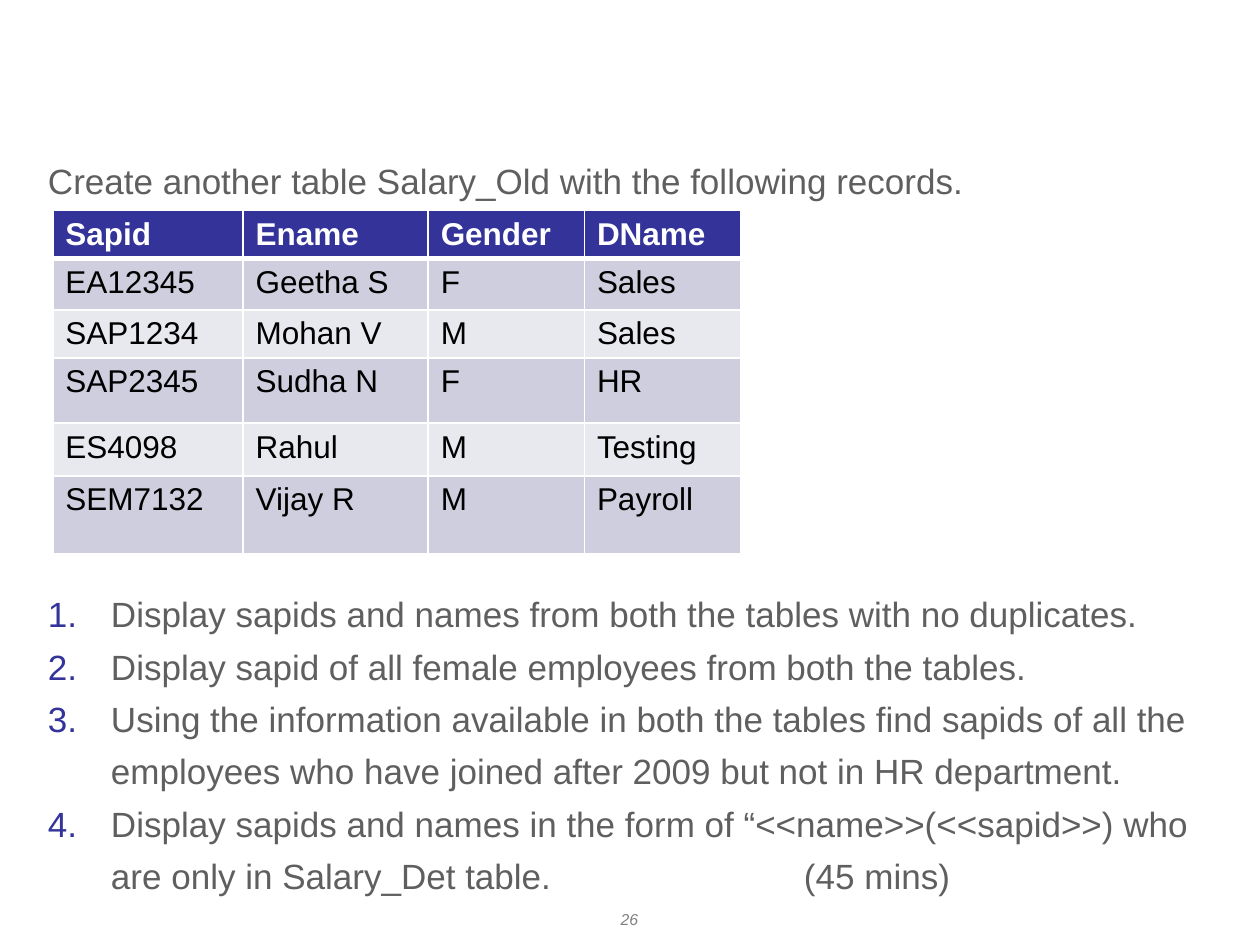
from typing import NamedTuple

from lxml import etree
from pptx import Presentation
from pptx.dml.color import RGBColor
from pptx.enum.text import MSO_ANCHOR, MSO_AUTO_SIZE, PP_ALIGN
from pptx.oxml.ns import qn
from pptx.util import Pt

CENTER = PP_ALIGN.CENTER
TOP, MIDDLE = MSO_ANCHOR.TOP, MSO_ANCHOR.MIDDLE
NO_AUTOFIT = MSO_AUTO_SIZE.NONE

FONT = "Arial"
COLORS = {
    "text": "5F5F5F",
    "page number": "808080",
    "accent": "333399",
    "odd row": "CECEDE",
    "even row": "E8E8EF",
    "white": "FFFFFF",
    "black": "000000",
}


class Box(NamedTuple):
    """A rectangle in points."""
    left: float
    top: float
    width: float
    height: float


INTRO_BOX = Box(20.2, 77.8, 648, 41.8)
TABLE_BOX = Box(30.2, 120.2, 393.1, 193.7)
TASKS_BOX = Box(20.2, 329, 676, 181.4)
NUMBER_BOX = Box(275.8, 516.2, 167.8, 18.7)

INTRO = "Create another table Salary_Old with the following records."
COLUMN_WIDTHS = [108.7, 105.8, 89.3, 89.3]
ROW_HEIGHTS = [26.2, 29.5, 26.2, 37.4, 30.2, 44.2]
RECORDS = [
    ["Sapid", "Ename", "Gender", "DName"],
    ["EA12345", "Geetha S", "F", "Sales"],
    ["SAP1234", "Mohan V", "M", "Sales"],
    ["SAP2345", "Sudha N", "F", "HR"],
    ["ES4098", "Rahul", "M", "Testing"],
    ["SEM7132", "Vijay R", "M", "Payroll"],
]
TASKS = [
    "Display sapids and names from both the tables with no duplicates.",
    "Display sapid of all female employees from both the tables.",
    "Using the information available in both the tables find sapids of all the "
    "employees who have joined after 2009 but not in HR department.",
    "Display sapids and names in the form of “<<name>>(<<sapid>>) who "
    "are only in Salary_Det table. \t\t\t\t(45 mins)",
]


def place(shape, box: Box) -> None:
    shape.left, shape.top, shape.width, shape.height = map(Pt, box)


def set_font(paragraph, size: float, color: str, bold: bool = False,
             italic: bool = False) -> None:
    font = paragraph.font
    font.name, font.size, font.bold, font.italic = FONT, Pt(size), bold, italic
    font.color.rgb = RGBColor.from_string(COLORS[color])


def add_color(parent, color: str) -> None:
    etree.SubElement(parent, qn("a:srgbClr"), val=COLORS[color])


def set_bullet(paragraph, numbered: bool) -> None:
    """Number the paragraph with a hanging indent, or drop its bullet."""
    properties = paragraph._p.get_or_add_pPr()
    indent = Pt(36) if numbered else 0
    properties.set("marL", str(indent))
    properties.set("indent", str(-indent))
    if numbered:
        add_color(etree.SubElement(properties, qn("a:buClr")), "accent")
        etree.SubElement(properties, qn("a:buFont"), typeface=FONT)
        etree.SubElement(properties, qn("a:buAutoNum"), type="arabicPeriod")
    else:
        etree.SubElement(properties, qn("a:buNone"))


def fill_body(placeholder, box: Box, lines: list[str], line_spacing: float,
              space_before: float, numbered: bool) -> None:
    place(placeholder, box)
    frame = placeholder.text_frame
    frame.auto_size, frame.vertical_anchor, frame.word_wrap = NO_AUTOFIT, TOP, True
    frame.text = "\n".join(lines)
    for paragraph in frame.paragraphs:
        paragraph.line_spacing = line_spacing
        paragraph.space_before = Pt(space_before)
        set_bullet(paragraph, numbered)
        set_font(paragraph, 20, "text")


def set_borders(cell, top: float, bottom: float) -> None:
    properties = cell._tc.get_or_add_tcPr()
    for side, width in (("L", 1), ("R", 1), ("T", top), ("B", bottom)):
        line = etree.SubElement(properties, qn(f"a:ln{side}"), w=str(Pt(width)))
        add_color(etree.SubElement(line, qn("a:solidFill")), "white")


def add_records(slide) -> None:
    table = slide.shapes.add_table(
        len(RECORDS), len(COLUMN_WIDTHS), *map(Pt, TABLE_BOX)).table
    for column, width in zip(table.columns, COLUMN_WIDTHS):
        column.width = Pt(width)
    for index, (row, height, values) in enumerate(
            zip(table.rows, ROW_HEIGHTS, RECORDS)):
        row.height = Pt(height)
        header = index == 0
        fill = "accent" if header else "odd row" if index % 2 else "even row"
        for cell, value in zip(row.cells, values):
            set_borders(cell, top=3 if index == 1 else 1, bottom=3 if header else 1)
            cell.fill.solid()
            cell.fill.fore_color.rgb = RGBColor.from_string(COLORS[fill])
            cell.text = value
            set_font(cell.text_frame.paragraphs[0], 18,
                     "white" if header else "black", bold=header)


def add_page_number(slide, number: str) -> None:
    frame = slide.shapes.add_textbox(*map(Pt, NUMBER_BOX)).text_frame
    frame.word_wrap, frame.vertical_anchor = True, MIDDLE
    frame.text = number
    paragraph = frame.paragraphs[0]
    paragraph.alignment = CENTER
    set_font(paragraph, 9, "page number", italic=True)


def main() -> None:
    presentation = Presentation()
    presentation.slide_width, presentation.slide_height = Pt(720), Pt(540)
    slide = presentation.slides.add_slide(
        presentation.slide_layouts.get_by_name("Two Content"))
    title, intro, tasks = slide.placeholders
    title.element.getparent().remove(title.element)

    fill_body(intro, INTRO_BOX, [INTRO], 1.4, 4, numbered=False)
    add_records(slide)
    fill_body(tasks, TASKS_BOX, TASKS, 1.25, 0, numbered=True)
    add_page_number(slide, "26")
    presentation.save("out.pptx")


if __name__ == "__main__":
    main()
